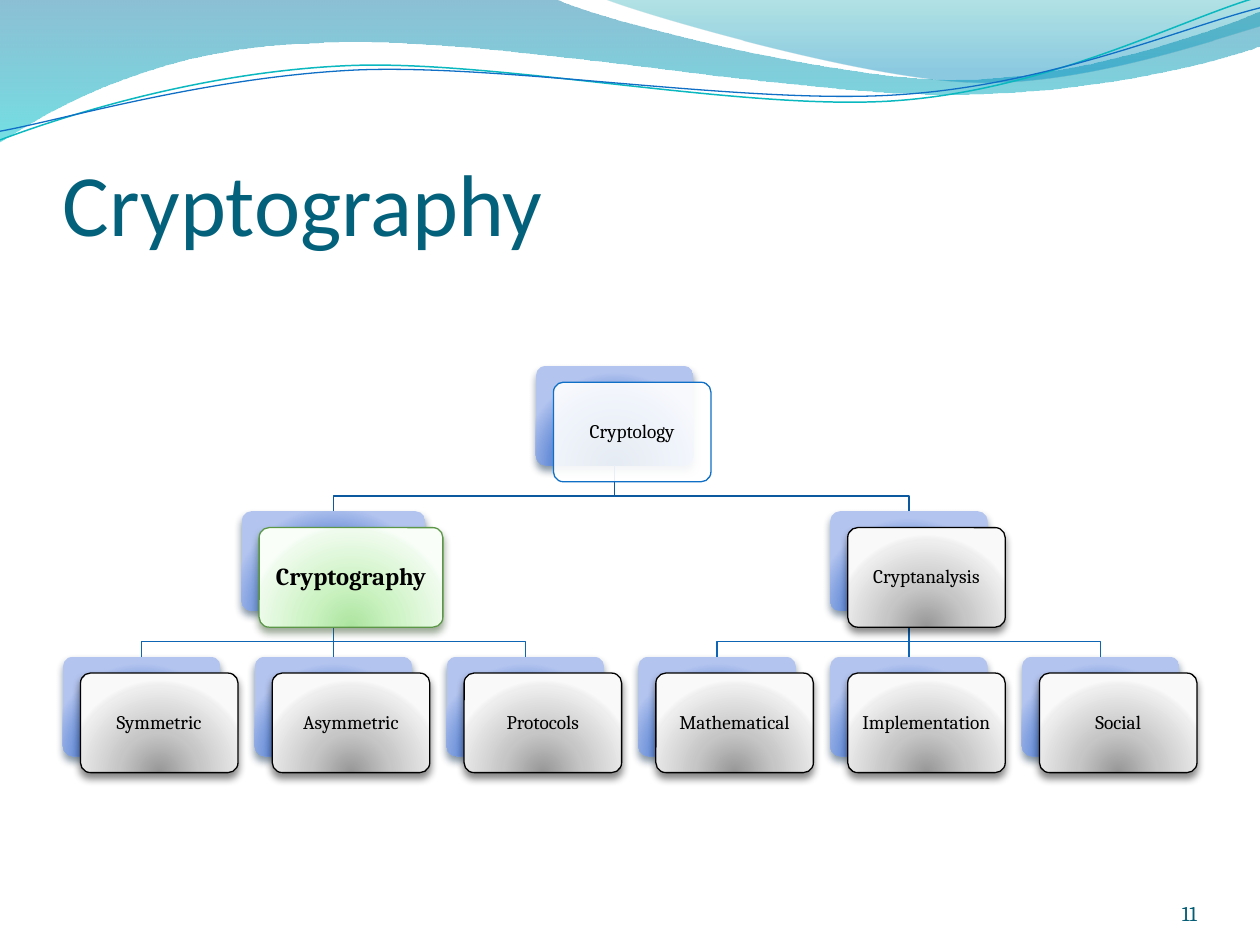
from math import cos, radians, sin

from lxml import etree
from pptx import Presentation
from pptx.dml.color import RGBColor
from pptx.enum.shapes import MSO_SHAPE
from pptx.enum.text import MSO_ANCHOR, PP_ALIGN
from pptx.oxml.ns import qn
from pptx.util import Pt

ROUND = MSO_SHAPE.ROUNDED_RECTANGLE
MIDDLE, BOTTOM = MSO_ANCHOR.MIDDLE, MSO_ANCHOR.BOTTOM
LEFT, CENTER, RIGHT = PP_ALIGN.LEFT, PP_ALIGN.CENTER, PP_ALIGN.RIGHT

BLACK = RGBColor(0x00, 0x00, 0x00)
WHITE = RGBColor(0xFF, 0xFF, 0xFF)
TITLE = RGBColor(0x04, 0x61, 0x7B)
NUMBER = RGBColor(0x04, 0x5D, 0x75)
BLUE = RGBColor(0x0F, 0x6F, 0xC6)
TEAL = RGBColor(0x0A, 0xB8, 0xBF)
GREEN = RGBColor(0x5B, 0x97, 0x47)
NAVY_SHADE = RGBColor(0x04, 0x27, 0x47)
GREEN_SHADE = RGBColor(0x2B, 0x48, 0x21)
LINKS = [RGBColor(0x0C, 0x59, 0x9F), RGBColor(0x0E, 0x65, 0xB4)]

DEEP = [(0, RGBColor(0x00, 0x74, 0xA1), 45), (100, RGBColor(0x00, 0xC6, 0xCF), 55)]
PALE = [(0, RGBColor(0x00, 0xA1, 0xA9), 30), (80, RGBColor(0x00, 0x8B, 0xBF), 45)]
BACK = [(0, RGBColor(0x00, 0x3D, 0x87), 100), (68, RGBColor(0x66, 0x8D, 0xD7), 100),
        (100, RGBColor(0xB3, 0xC4, 0xEF), 100)]
GRAY = [(0, RGBColor(0x97, 0x97, 0x97), 100), (43, RGBColor(0xC6, 0xC6, 0xC6), 100),
        (93, RGBColor(0xEE, 0xEE, 0xEE), 100), (100, RGBColor(0xF9, 0xF9, 0xF9), 100)]
LIME = [(0, RGBColor(0xAC, 0xE4, 0x9F), 100), (43, RGBColor(0xCD, 0xF3, 0xC4), 100),
        (93, RGBColor(0xEF, 0xFB, 0xED), 100), (100, RGBColor(0xF9, 0xFF, 0xF8), 100)]

CARD_W, CARD_H = 90, 56.9
SHIFT_X, SHIFT_Y = 10, 9.4
LEVEL = 83.1
TILT = 2.7

BANDS = [
    (DEEP, [[(0, 0)], [(317, -0.7)],
            [(343, 12), (478, 45.4), (546, 45.4)], [(614, 45.4), (690, 19), (720, 6.5)],
            [(720.7, 26)], [(708, 32), (626, 55), (537, 54)],
            [(448, 54), (275, 20), (185, 24.5)], [(93, 26), (33, 60), (-0.7, 81.4)]]),
    (PALE, [[(345, -0.7)], [(366, 8), (491, 44.6), (554, 47)],
            [(616, 49.7), (692, 23), (720, 15)], [(720, 0)]]),
]
CURVES = [
    (TEAL, 0.85, (359.3, 41.4), [[(0, 80)], [(34.5, 67), (114, 41), (199.5, 37.5)],
                                 [(284.5, 34), (427, 64), (513, 57.5)],
                                 [(600, 51), (675, 11), (718.5, -1.5)]]),
    (BLUE, 0.75, (359.6, 42.5), [[(0, 75)], [(34, 69), (118, 44), (204, 40)],
                                 [(290, 36.5), (430, 60.5), (516, 54)],
                                 [(602, 48), (677.5, 15), (720, 4.5)]]),
]
GROUPS = [
    ("Cryptography", 105, ["Symmetric", "Asymmetric", "Protocols"]),
    ("Cryptanalysis", CARD_W, ["Mathematical", "Implementation", "Social"]),
]


def add(parent, tag, **attrs):
    """Append a drawing element and return it."""
    return etree.SubElement(parent, qn(tag), {k: str(v) for k, v in attrs.items()})


def tint(parent, color, alpha):
    """Append a colour with its opacity in percent."""
    add(add(parent, "a:srgbClr", val=color), "a:alpha", val=alpha * 1000)


def blend(shape, stops, radial=False):
    """Fill a shape with a downward or a radial gradient."""
    shape.fill.gradient()
    grad = shape.element.spPr.find(qn("a:gradFill"))
    grad.clear()
    grad.set("rotWithShape", "1")
    marks = add(grad, "a:gsLst")
    for place, color, alpha in stops:
        tint(add(marks, "a:gs", pos=place * 1000), color, alpha)
    if radial:
        path = add(grad, "a:path", path="circle")
        add(path, "a:fillToRect", l=50000, t=130000, r=50000, b=-30000)
    else:
        add(grad, "a:lin", ang=5400000, scaled=1)


def shade(shape, color):
    """Give a shape a soft shadow below it."""
    effects = shape.element.spPr.find(qn("a:effectLst"))
    tint(add(effects, "a:outerShdw", blurRad=Pt(4.5), dist=Pt(3), dir=5400000,
             rotWithShape=0), color, 48)


def outline(slide, parts, close=False):
    """Draw a freeform from line ends and cubic curve parts."""
    spots = [(Pt(x), Pt(y)) for part in parts for x, y in part]
    pen = slide.shapes.build_freeform(*spots[0])
    pen.add_line_segments(spots[1:], close=close)
    shape = pen.convert_to_shape()
    shape.shadow.inherit = False
    path = next(shape.element.spPr.iter(qn("a:path")))
    steps = iter(list(path))
    for part in parts:
        first, *others = [next(steps) for _ in part]
        if others:
            curve = etree.Element(qn("a:cubicBezTo"))
            path.replace(first, curve)
            curve.append(first[0])
            for step in others:
                curve.append(step[0])
                path.remove(step)
    return shape


def widen(shape):
    """Give an upright line a box with some width around it."""
    room = Pt(7.2)
    shape.left, shape.width = shape.left - room // 2, room
    path = next(shape.element.spPr.iter(qn("a:path")))
    path.set("w", str(room))
    for spot in path.iter(qn("a:pt")):
        spot.set("x", str(room // 2))


def stroke(slide, parts, color, width):
    """Draw an open line."""
    shape = outline(slide, parts)
    shape.fill.background()
    shape.line.color.rgb = color
    shape.line.width = Pt(width)
    return shape


def turn(spot, pivot):
    """Turn a point about a pivot by the tilt of the curves."""
    x, y = spot[0] - pivot[0], spot[1] - pivot[1]
    c, s = cos(radians(TILT)), sin(radians(TILT))
    return pivot[0] + x * c - y * s, pivot[1] + x * s + y * c


def waves(slide):
    """Draw the wave bands and thin curves along the top."""
    for stops, parts in BANDS:
        band = outline(slide, parts, close=True)
        blend(band, stops)
        band.line.fill.background()
    for color, width, pivot, parts in CURVES:
        level = [[turn(spot, pivot) for spot in part] for part in parts]
        stroke(slide, level, color, width).rotation = 360 - TILT


def write(shape, text, font, size, color, align, anchor, inset, bold=False):
    """Set one line of text in a shape."""
    frame = shape.text_frame
    frame.word_wrap = True
    frame.vertical_anchor = anchor
    frame.margin_left = frame.margin_right = Pt(inset)
    frame.margin_top = frame.margin_bottom = Pt(inset)
    para = frame.paragraphs[0]
    para.text = text
    para.alignment = align
    para.font.name, para.font.size = font, Pt(size)
    para.font.bold, para.font.color.rgb = bold, color
    return para


def label(slide, box, *style):
    """Place a text box with one line of text."""
    write(slide.shapes.add_textbox(*map(Pt, box)), *style)


def plate(slide, x, y, width):
    """Draw a rounded plate without fill or line settings."""
    shape = slide.shapes.add_shape(ROUND, Pt(x), Pt(y), Pt(width), Pt(CARD_H))
    shape.adjustments[0] = 0.1
    shape.shadow.inherit = False
    return shape


def back(slide, x, y, width):
    """Draw the blue plate behind a card."""
    shape = plate(slide, x, y, width)
    blend(shape, BACK, radial=True)
    shape.line.fill.background()
    shade(shape, NAVY_SHADE)
    return shape


def card(slide, base, text, look):
    """Draw the labelled card in front of its plate."""
    stops, edge, dark, size, bold = look
    shape = plate(slide, base.left.pt + SHIFT_X, base.top.pt + SHIFT_Y, base.width.pt)
    if stops:
        blend(shape, stops, radial=True)
        shade(shape, dark)
    else:
        shape.fill.solid()
        shape.fill.fore_color.rgb = WHITE
        fill = shape.element.spPr.find(qn("a:solidFill"))
        add(fill[0], "a:alpha", val=90000)
    shape.line.color.rgb = edge
    shape.line.width = Pt(0.75)
    para = write(shape, text, "Cambria", size, BLACK, CENTER, MIDDLE, 5, bold)
    para.line_spacing = 0.9


def link(slide, upper, lower, color):
    """Join a plate to one below it, with a bend where needed."""
    start, end = (s.left.pt + s.width.pt / 2 for s in (upper, lower))
    top, foot = upper.top.pt + CARD_H, lower.top.pt
    if abs(start - end) < 0.1:
        widen(stroke(slide, [[(start, top)], [(start, foot)]], color, 0.75))
    else:
        bend = foot - 8.6
        spots = [(start, top), (start, bend), (end, bend), (end, foot)]
        stroke(slide, [[spot] for spot in spots], color, 0.75)


def tree(slide, left, top, width):
    """Draw the three-level tree of plates, links and cards."""
    plain = (GRAY, BLACK, BLACK, 11, False)
    strong = (LIME, GREEN, GREEN_SHADE, 14, True)
    pitch = (width - SHIFT_X - CARD_W) / 5
    nodes, joins, heads = [], [], []
    for g, (name, wide, leaves) in enumerate(GROUPS):
        middle = left + (3 * g + 1) * pitch + CARD_W / 2
        head = back(slide, middle - wide / 2, top + LEVEL, wide)
        heads.append(head)
        nodes.append((head, name, plain if wide == CARD_W else strong))
        for i, leaf in enumerate(leaves):
            base = back(slide, left + (3 * g + i) * pitch, top + 2 * LEVEL, CARD_W)
            nodes.append((base, leaf, plain))
            joins.append((head, base, LINKS[1]))
    first, last = heads
    middle = (first.left.pt + last.left.pt + last.width.pt) / 2
    root = back(slide, middle - CARD_W / 2, top, CARD_W)
    nodes.append((root, "Cryptology", (None, BLUE, None, 11, False)))
    joins += [(root, head, LINKS[0]) for head in heads]
    for join in joins:
        link(slide, *join)
    for node in nodes:
        card(slide, *node)


def main():
    """Build and save the slide."""
    deck = Presentation()
    deck.slide_width, deck.slide_height = Pt(720), Pt(540)
    slide = deck.slides.add_slide(deck.slide_layouts[6])
    waves(slide)
    label(slide, (36, 59, 648, 86.4), "Cryptography", "Calibri", 50, TITLE, LEFT, BOTTOM, 0)
    tree(slide, 36, 209, 648)
    label(slide, (624, 500.4, 60, 28.8), "11", "Cambria", 12, NUMBER, RIGHT, BOTTOM, 0)
    deck.save("out.pptx")


if __name__ == "__main__":
    main()
